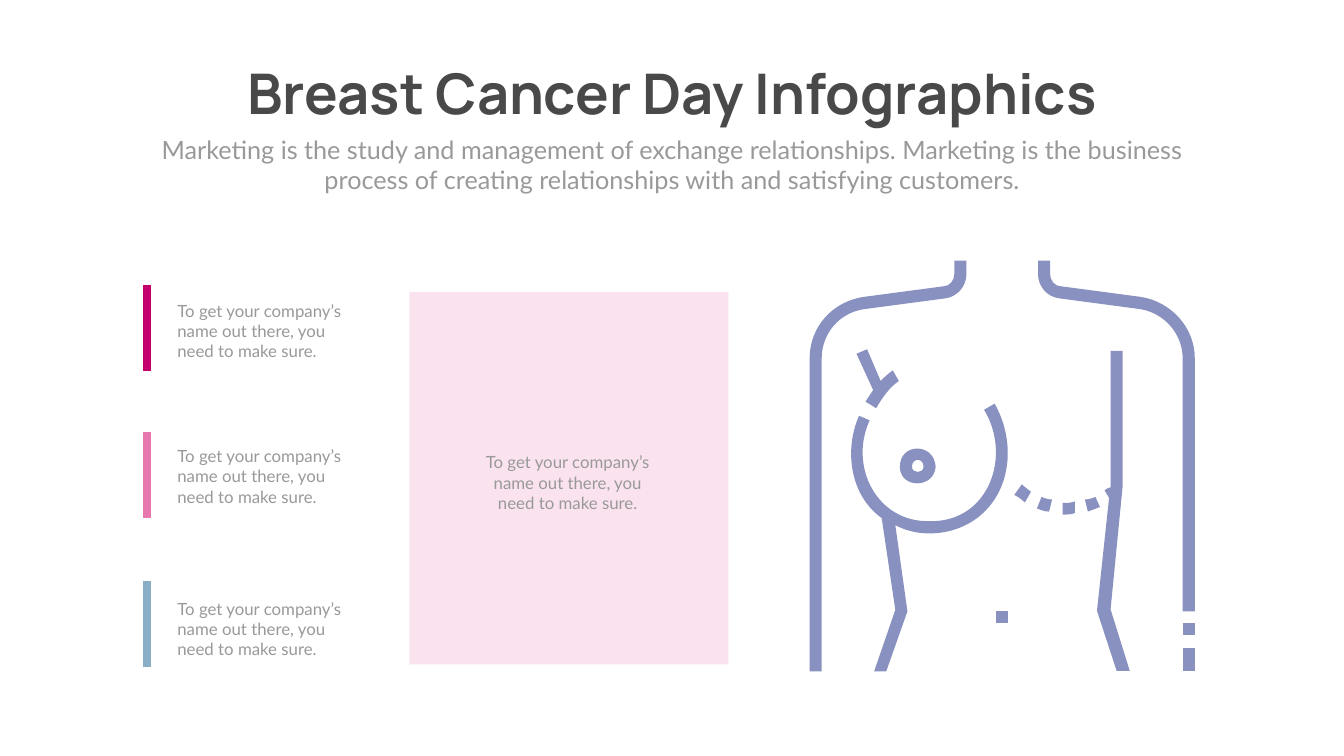
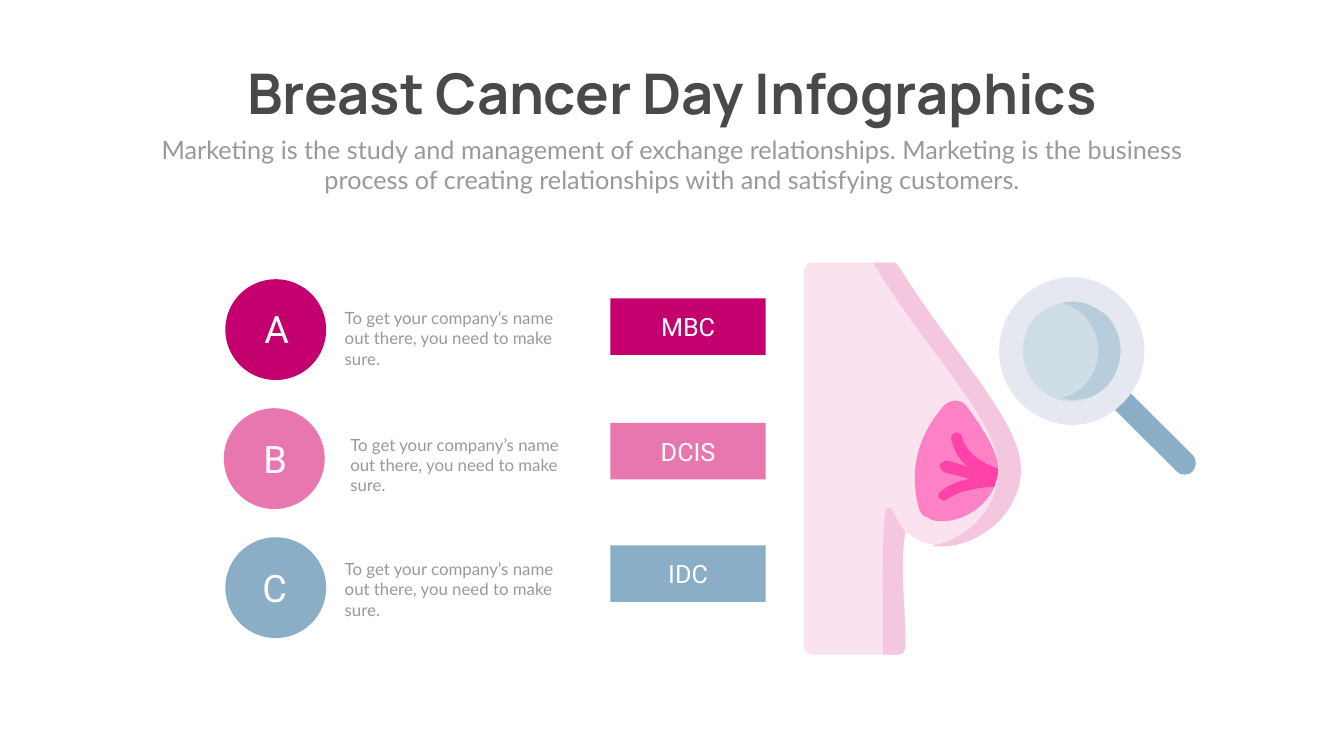
from lxml import etree
from pptx import Presentation
from pptx.dml.color import RGBColor
from pptx.enum.shapes import MSO_CONNECTOR as Connector, MSO_SHAPE as Shape
from pptx.enum.text import MSO_AUTO_SIZE as AutoSize, PP_ALIGN as Align
from pptx.oxml.ns import qn
from pptx.util import Inches, Pt

INK = RGBColor(0x49, 0x49, 0x49)
GRAY = RGBColor(0x99, 0x99, 0x99)
WHITE = RGBColor(0xFF, 0xFF, 0xFF)
MAGENTA = RGBColor(0xC4, 0x00, 0x6E)
PINK = RGBColor(0xE8, 0x76, 0xAF)
BLUE = RGBColor(0x8A, 0xAE, 0xC5)
BLUSH = RGBColor(0xFA, 0xE2, 0xEE)
ROSE = RGBColor(0xF5, 0xC7, 0xDE)
PERIWINKLE = RGBColor(0x88, 0x91, 0xBF)
GLAND = RGBColor(0xFE, 0x81, 0xC6)
DUCT = RGBColor(0xFE, 0x42, 0xAA)
LENS = RGBColor(0xCF, 0xDD, 0xE7)
LENS_SHADE = RGBColor(0xB7, 0xCD, 0xDC)
FRAME = RGBColor(0xE6, 0xE8, 0xF1)
ACCENTS = (MAGENTA, PINK, BLUE)

TITLE = "Breast Cancer Day Infographics"
SUBTITLE = ("Marketing is the study and management of exchange relationships. "
            "Marketing is the business process of creating relationships with "
            "and satisfying customers.")
BLURB = "To get your company’s name out there, you need to make sure."

LEFT_ARMPIT = """17.38,8.1 C 17.5,7.89 17.65,7.68 17.83,7.56 17.71,7.35
    C 17.62,7.41 17.56,7.47 17.47,7.56 17.2,6.93 16.99,7.02 17.32,7.74
    C 17.26,7.83 17.2,7.92 17.17,7.97"""
LEFT_BREAST = """19.52,8.13 C 20.08,9.05 19.61,10.37 18.44,10.34
    C 17.4,10.37 16.83,9.26 17.25,8.34 17.04,8.25
    C 16.74,8.93 16.86,9.83 17.49,10.28 17.76,12.1 17.34,13.32 17.58,13.32
    18,12.13 17.76,10.42 C 18.32,10.72 19.1,10.6 19.55,10.13
    C 20.08,9.59 20.12,8.7 19.73,8.01"""
LEFT_SHOULDER = """18.75,5.92 C 18.99,5.89 19.17,5.68 19.17,5.44 19.17,5.17
    18.93,5.17 18.93,5.44 C 18.93,5.56 18.84,5.68 18.72,5.68 17.14,5.89
    C 16.51,5.98 16.06,6.49 16.06,7.11 16.06,13.32 16.3,13.32 16.3,7.11
    C 16.3,6.61 16.66,6.19 17.17,6.13"""
RIGHT_SHOULDER = """22.62,5.89 21.04,5.68 C 20.92,5.68 20.83,5.56 20.83,5.44
    20.83,5.17 20.59,5.17 20.59,5.44 C 20.59,5.68 20.77,5.89 21.01,5.92
    22.59,6.13 C 23.07,6.19 23.46,6.61 23.46,7.11 23.46,12.13 23.7,12.13
    23.7,7.11 C 23.7,6.49 23.22,5.98 22.62,5.89"""
RIGHT_SIDE = """22.27,9.64 22.27,6.96 22.03,6.96 22.03,9.67
    C 22,9.67 21.94,9.7 21.91,9.73 22,9.88 21.76,12.12 22.15,13.31
    22.41,13.31 22.03,12.09"""
NIPPLE = """17.85,9.26 C 17.85,9.7 18.53,9.7 18.56,9.26
    C 18.53,8.78 17.85,8.78 17.85,9.26"""
NIPPLE_HOLE = """18.32,9.26 C 18.32,9.4 18.09,9.4 18.09,9.26
    C 18.09,9.08 18.32,9.08 18.32,9.26"""
SCAR_DASHES = (
    "21.73,9.86 C 21.67,9.89 21.58,9.91 21.52,9.91 21.58,10.15 "
    "C 21.67,10.12 21.73,10.09 21.82,10.06",
    "20.57,10.09 C 20.66,10.12 20.72,10.15 20.81,10.15 20.87,9.91 "
    "C 20.81,9.91 20.72,9.89 20.66,9.86",
    "21.08,9.98 21.08,10.21 C 21.17,10.21 21.26,10.21 21.32,10.18 21.32,9.95 "
    "C 21.23,9.98 21.17,9.98 21.08,9.98",
    "20.27,9.61 20.12,9.82 C 20.18,9.85 20.27,9.91 20.33,9.97 20.45,9.76 "
    "C 20.42,9.73 20.33,9.67 20.27,9.61",
)
ARM_END = "23.46,12.85 23.7,12.85 23.7,13.32 23.46,13.32"
ARM_DASH = "23.46,12.36 23.7,12.36 23.7,12.6 23.46,12.6"
NAVEL = "19.76,12.13 20,12.13 20,12.37 19.76,12.37"
TORSO = (
    (LEFT_ARMPIT,), (LEFT_BREAST,), (LEFT_SHOULDER,), (ARM_END,), (ARM_DASH,),
    (RIGHT_SHOULDER,), (RIGHT_SIDE,), (NIPPLE, NIPPLE_HOLE),
    *((dash,) for dash in SCAR_DASHES), (NAVEL,),
)

SKIN = """15.95,12.83 15.95,5.37 C 15.95,5.3 16.03,5.21 16.11,5.21 17.72,5.21
    C 17.76,5.21 17.8,5.25 17.84,5.3 C 18.84,6.94 20.25,8.34 20.25,9.3
    C 20.25,10.5 18.76,11.26 17.96,10.54 C 17.84,11.3 17.96,11.91 17.96,12.83
    C 17.96,12.91 17.92,12.99 17.8,12.99 16.11,12.99
    C 16.03,12.99 15.95,12.91 15.95,12.83"""
SKIN_EDGE = """17.72,5.21 17.32,5.21 C 18.32,6.9 19.81,8.35 19.81,9.3
    C 19.81,10.11 19.17,10.71 18.48,10.83 C 19.28,10.95 20.25,10.27 20.25,9.3
    C 20.25,8.35 18.84,6.94 17.84,5.3 C 17.8,5.25 17.76,5.21 17.72,5.21"""
SKIN_FOLD = """17.96,10.54 C 17.88,10.5 17.8,10.3 17.68,10.1
    C 17.68,10.06 17.6,10.06 17.56,10.14 C 17.48,10.9 17.52,12.07 17.52,12.99
    17.8,12.99 C 17.92,12.99 17.96,12.91 17.96,12.83
    C 17.96,11.91 17.84,11.3 17.96,10.54"""
GLAND_BODY = """18.23,10.1 C 18.27,10.18 18.31,10.26 18.39,10.26
    C 18.47,10.34 18.59,10.34 18.71,10.34 C 19.2,10.34 19.8,9.9 19.8,9.3
    C 19.8,9.02 19.56,8.58 19.2,8.1 C 19.12,7.94 18.92,7.9 18.75,8.02
    C 18.43,8.38 17.95,9.06 18.23,10.1"""
HANDLE = """23.66,9.35 C 23.74,9.27 23.74,9.11 23.66,9.03 21.93,7.31
    C 21.85,7.23 21.69,7.23 21.61,7.31 C 21.53,7.39 21.53,7.55 21.61,7.63
    23.34,9.35 C 23.42,9.44 23.58,9.44 23.66,9.35"""
DUCTS = """19.8,9.3 C 19.8,9.42 19.76,9.54 19.72,9.66
    C 19.48,9.66 19,9.74 18.8,9.9 C 18.8,9.9 18.76,9.94 18.72,9.94
    C 18.72,9.94 18.68,9.9 18.64,9.9 C 18.6,9.86 18.6,9.78 18.68,9.74
    C 18.8,9.62 19.04,9.54 19.24,9.5 18.76,9.38
    C 18.68,9.34 18.64,9.3 18.64,9.22 C 18.68,9.18 18.72,9.14 18.8,9.14
    19.2,9.26 C 19.04,9.14 18.92,8.94 18.88,8.74
    C 18.84,8.66 18.88,8.62 18.96,8.58 C 19,8.58 19.08,8.62 19.08,8.66
    C 19.16,9.06 19.68,9.26 19.8,9.3"""
LENS_GLASS = """21.29,5.86 C 21.89,5.86 22.37,6.34 22.37,6.98
    C 22.37,7.59 21.89,8.07 21.29,8.07 C 20.64,8.07 20.16,7.59 20.16,6.98
    C 20.16,6.34 20.64,5.86 21.29,5.86"""
LENS_CRESCENT = """21.97,6.25 C 21.73,6.01 21.37,5.93 21.05,6.01
    C 21.21,6.05 21.37,6.14 21.49,6.25 C 21.89,6.66 21.89,7.26 21.49,7.66
    C 21.37,7.78 21.21,7.86 21.05,7.9 C 21.37,7.98 21.73,7.9 21.97,7.66
    C 22.37,7.26 22.37,6.66 21.97,6.25"""
FRAME_RIM = """22.28,5.94 C 22,5.66 21.64,5.5 21.28,5.5
    C 20.88,5.5 20.52,5.66 20.24,5.94 C 19.68,6.5 19.68,7.43 20.24,7.99
    C 20.52,8.27 20.88,8.43 21.28,8.43 C 21.64,8.43 22,8.27 22.28,7.99
    C 22.84,7.43 22.84,6.5 22.28,5.94"""
FRAME_HOLE = """21.96,7.66 C 21.56,8.07 20.96,8.07 20.56,7.66
    C 20.2,7.26 20.2,6.66 20.56,6.26 C 20.76,6.1 21,5.98 21.28,5.98
    C 21.52,5.98 21.76,6.1 21.96,6.26 C 22.32,6.66 22.32,7.26 21.96,7.66"""
EXAMINATION = (
    (BLUSH, SKIN), (ROSE, SKIN_EDGE), (ROSE, SKIN_FOLD), (GLAND, GLAND_BODY),
    (BLUE, HANDLE), (DUCT, DUCTS), (LENS, LENS_GLASS),
    (LENS_SHADE, LENS_CRESCENT), (FRAME, FRAME_RIM, FRAME_HOLE),
)


def read_contour(contour):
    points, curve_starts = [], set()
    for token in contour.split():
        if token == "C":
            curve_starts.add(len(points))
        else:
            x, y = token.split(",")
            points.append((Inches(float(x)), Inches(float(y))))
    return points, curve_starts


def bend(segments, curve_starts):
    for start in curve_starts:
        curve, *extras = segments[start - 1:start + 2]
        curve.tag = qn("a:cubicBezTo")
        for extra in extras:
            curve.append(extra[0])
            extra.getparent().remove(extra)


class Deck:
    def __init__(self):
        self.prs = Presentation()
        self.prs.slide_width = Inches(26.66)
        self.prs.slide_height = Inches(15)
        self.shapes = None

    def add_slide(self):
        self.shapes = self.prs.slides.add_slide(self.prs.slide_layouts[6]).shapes
        self.text(TITLE, 4.06, 1.12, 18.55, 1.45, size=80, font="Manrope",
                  color=INK, bold=True, align=Align.CENTER)
        self.text(SUBTITLE, 2.92, 2.61, 20.82, 1.31, size=36, align=Align.CENTER)

    def text(self, content, left, top, width, height, *, size=24, font="Lato",
             color=GRAY, bold=False, align=Align.LEFT):
        box = self.shapes.add_textbox(Inches(left), Inches(top), Inches(width), Inches(height))
        frame = box.text_frame
        frame.word_wrap = True
        frame.auto_size = AutoSize.SHAPE_TO_FIT_TEXT
        paragraph = frame.paragraphs[0]
        paragraph.alignment = align
        run = paragraph.add_run()
        run.text = content
        run.font.name = font
        run.font.size = Pt(size)
        run.font.bold = bold
        run.font.color.rgb = color

    def label(self, content, left, top, width, height, size):
        self.text(content, left, top, width, height, size=size, font="Roboto",
                  color=WHITE, align=Align.CENTER)

    def paint(self, shape, color):
        shape.shadow.inherit = False
        shape.fill.solid()
        shape.fill.fore_color.rgb = color
        shape.line.fill.background()

    def block(self, preset, left, top, width, height, color):
        shape = self.shapes.add_shape(preset, Inches(left), Inches(top),
                                      Inches(width), Inches(height))
        self.paint(shape, color)

    def outline(self, color, *contours):
        parts = [read_contour(contour) for contour in contours]
        builder = self.shapes.build_freeform(*parts[0][0][0])
        for index, (points, _) in enumerate(parts):
            if index:
                builder.move_to(*points[0])
            builder.add_line_segments(points[1:], close=True)
        shape = builder.convert_to_shape()
        segments = list(shape._element.iter(qn("a:lnTo")))
        for points, curve_starts in parts:
            count = len(points) - 1
            bend(segments[:count], curve_starts)
            segments = segments[count:]
        self.paint(shape, color)

    def bar(self, x, top, bottom, color):
        line = self.shapes.add_connector(Connector.STRAIGHT, Inches(x), Inches(top),
                                         Inches(x), Inches(bottom))
        line.line.color.rgb = color
        line.line.width = Pt(12)
        etree.SubElement(line._element.spPr, qn("a:effectLst"))


def add_torso_slide(deck):
    deck.add_slide()
    for contours in TORSO:
        deck.outline(PERIWINKLE, *contours)
    for color, bar_top in zip(ACCENTS, (5.65, 8.57, 11.52)):
        deck.bar(2.92, bar_top, bar_top + 1.71, color)
    deck.block(Shape.RECTANGLE, 8.12, 5.79, 6.33, 7.39, BLUSH)
    for blurb_top in (5.92, 8.8, 11.83):
        deck.text(BLURB, 3.42, blurb_top, 3.8, 1.31)
    deck.text(BLURB, 9.36, 8.92, 3.8, 1.31, align=Align.CENTER)


def add_examination_slide(deck):
    deck.add_slide()
    for color, *contours in EXAMINATION:
        deck.outline(color, *contours)
    rows = (
        ("A", (4.47, 5.54), (4, 6.01), (6.74, 6.06), "MBC", 5.92),
        ("B", (4.44, 8.1), (3.97, 8.6), (6.85, 8.57), "DCIS", 8.39),
        ("C", (4.47, 10.66), (3.96, 11.16), (6.74, 11.04), "IDC", 10.82),
    )
    for color, (letter, disc, letter_at, blurb_at, kind, tag_top) in zip(ACCENTS, rows):
        deck.block(Shape.OVAL, *disc, 2, 2, color)
        deck.text(BLURB, *blurb_at, 4.9, 0.91)
        deck.label(letter, *letter_at, 2.98, 1.01, 54)
        deck.block(Shape.RECTANGLE, 12.11, tag_top, 3.08, 1.12, color)
        deck.label(kind, 12.65, tag_top + 0.21, 2, 0.71, 36)


def main():
    deck = Deck()
    add_torso_slide(deck)
    add_examination_slide(deck)
    deck.prs.save("out.pptx")


if __name__ == "__main__":
    main()
